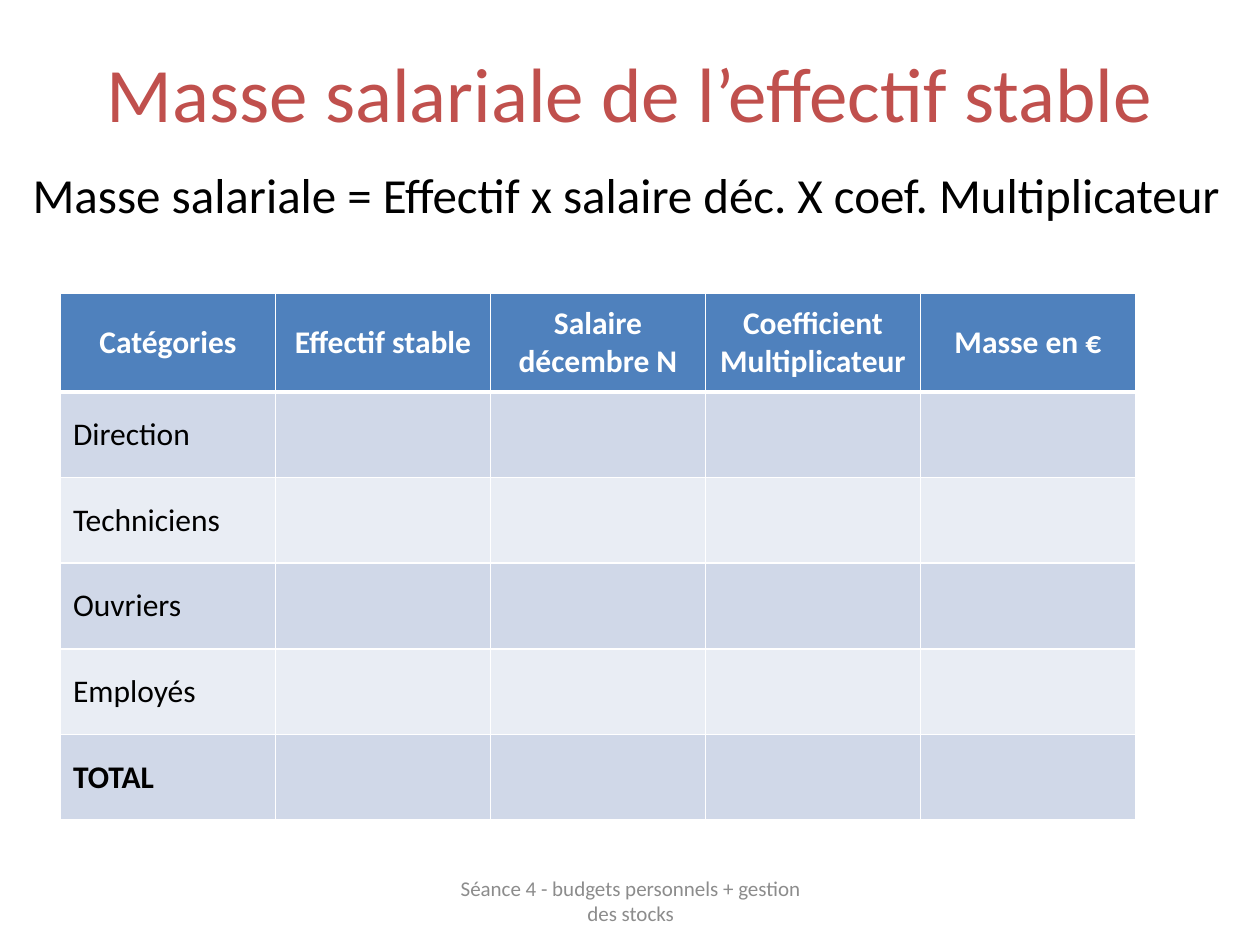
from lxml.etree import SubElement
from pptx import Presentation
from pptx.dml.color import RGBColor
from pptx.enum.text import MSO_ANCHOR, PP_ALIGN
from pptx.oxml.ns import qn
from pptx.util import Cm, Pt

FONT = "Calibri"
RED = RGBColor(0xC0, 0x50, 0x4D)
BLACK = RGBColor(0, 0, 0)
WHITE = RGBColor(0xFF, 0xFF, 0xFF)
GREY = RGBColor(0x8C, 0x8C, 0x8C)
BLUE = RGBColor(0x4F, 0x81, 0xBD)
DARK_BAND = RGBColor(0xD0, 0xD8, 0xE8)
LIGHT_BAND = RGBColor(0xE9, 0xED, 0xF4)

HEADERS = ["Catégories", "Effectif stable", "Salaire décembre N",
           "Coefficient Multiplicateur", "Masse en €"]
CATEGORIES = ["Direction", "Techniciens", "Ouvriers", "Employés", "TOTAL"]


def write_text(text_frame, text, size=18, color=BLACK, bold=False,
               align=PP_ALIGN.LEFT):
    paragraph = text_frame.paragraphs[0]
    paragraph.alignment = align
    run = paragraph.add_run()
    run.text = text
    run.font.name = FONT
    run.font.size = Pt(size)
    run.font.bold = bold
    run.font.color.rgb = color


def add_text(slide, box, text, anchor=MSO_ANCHOR.MIDDLE, **text_format):
    shape = slide.shapes.add_textbox(*(Cm(length) for length in box))
    shape.text_frame.word_wrap = True
    shape.text_frame.vertical_anchor = anchor
    write_text(shape.text_frame, text, **text_format)


def set_borders(cell, color, **widths):
    """Draw the cell borders, given by side: L, R, T, B in this order."""
    properties = cell._tc.get_or_add_tcPr()
    for side, width in widths.items():
        line = SubElement(properties, qn(f"a:ln{side}"), w=str(Pt(width)))
        fill = SubElement(line, qn("a:solidFill"))
        SubElement(fill, qn("a:srgbClr"), val=str(color))


def style_cell(cell, fill, top=1, bottom=1):
    set_borders(cell, WHITE, L=1, R=1, T=top, B=bottom)
    cell.fill.solid()
    cell.fill.fore_color.rgb = fill
    cell.vertical_anchor = MSO_ANCHOR.MIDDLE


def add_payroll_table(slide, box, header_height):
    left, top, width, height = box
    frame = slide.shapes.add_table(
        len(CATEGORIES) + 1, len(HEADERS), *(Cm(length) for length in box))
    table = frame.table
    for column in table.columns:
        column.width = Cm(width / len(HEADERS))
    for row in table.rows:
        row.height = Cm((height - header_height) / len(CATEGORIES))
    table.rows[0].height = Cm(header_height)

    # Header row
    for index, header in enumerate(HEADERS):
        cell = table.cell(0, index)
        style_cell(cell, BLUE, bottom=3)
        write_text(cell.text_frame, header, color=WHITE, bold=True,
                   align=PP_ALIGN.CENTER)

    # Banded category rows, with empty cells to fill in
    for index, category in enumerate(CATEGORIES, start=1):
        band = DARK_BAND if index % 2 else LIGHT_BAND
        for cell in table.rows[index].cells:
            style_cell(cell, band, top=3 if index == 1 else 1)
        write_text(table.cell(index, 0).text_frame, category,
                   bold=category == "TOTAL")


def build_payroll_slide(presentation):
    slide = presentation.slides.add_slide(presentation.slide_layouts[6])
    # Title and formula
    add_text(slide, (1.27, 0.43, 22.86, 2.82),
             "Masse salariale de l’effectif stable",
             size=44, color=RED, align=PP_ALIGN.CENTER)
    add_text(slide, (0.41, 3.2, 24.61, 1.47),
             "Masse salariale = Effectif x salaire déc. X coef. Multiplicateur",
             size=28, anchor=MSO_ANCHOR.TOP)
    # Payroll by category
    add_payroll_table(slide, (1.22, 5.92, 21.67, 10.62), header_height=1.98)
    # Footer
    add_text(slide, (8.69, 17.65, 8.05, 1.02),
             "Séance 4 - budgets personnels + gestion des stocks",
             size=12, color=GREY, align=PP_ALIGN.CENTER)


def main():
    presentation = Presentation()
    presentation.slide_width = Cm(25.4)
    presentation.slide_height = Cm(19.05)
    build_payroll_slide(presentation)
    presentation.save("out.pptx")


if __name__ == "__main__":
    main()
